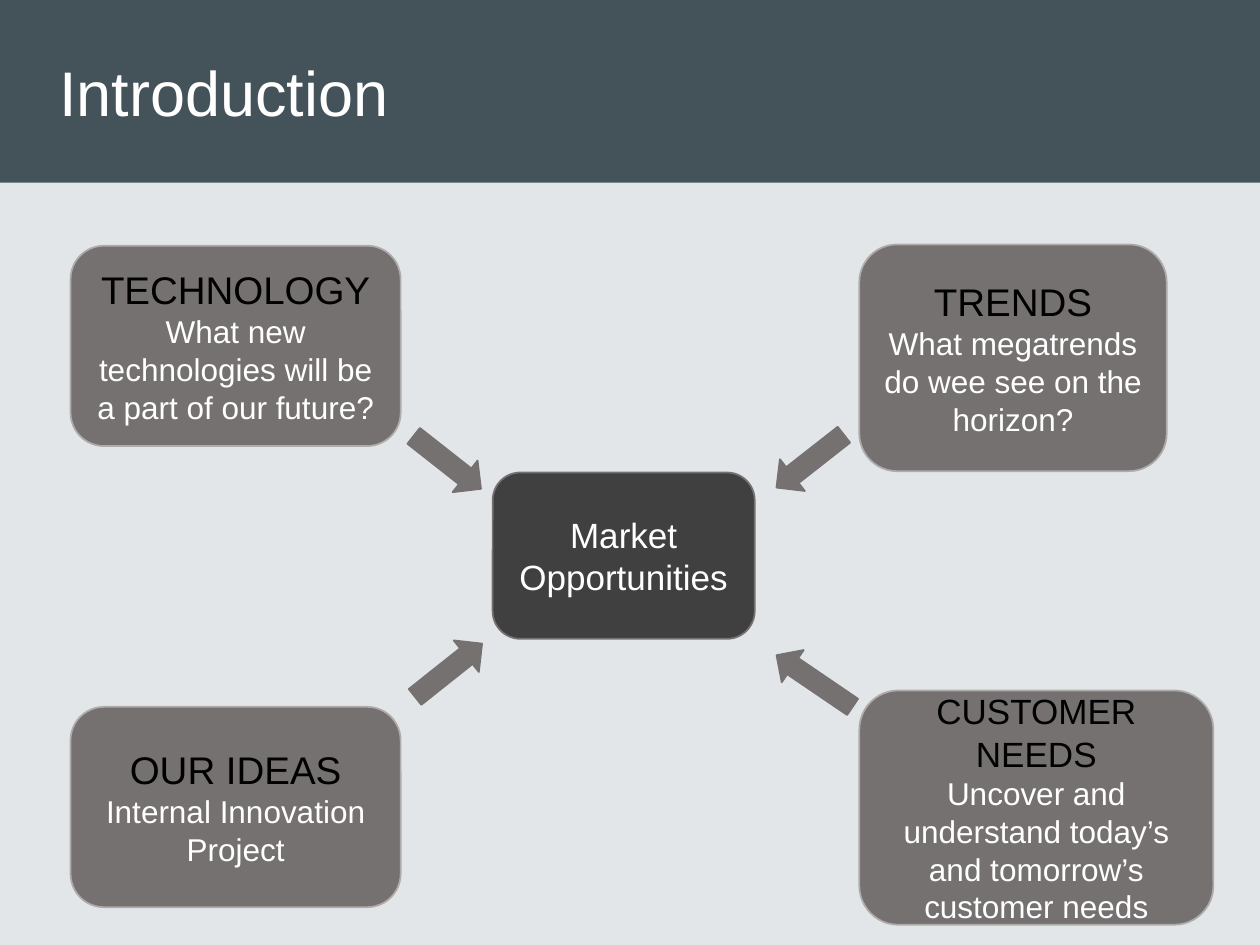
from pptx import Presentation
from pptx.dml.color import RGBColor
from pptx.enum import shapes, text
from pptx.util import Inches, Pt

WHITE = RGBColor(0xFF, 0xFF, 0xFF)
BLACK = RGBColor(0, 0, 0)
PALE = RGBColor(0xE3, 0xE6, 0xE9)
SLATE = RGBColor(0x44, 0x52, 0x5A)
CHARCOAL = RGBColor(0x40, 0x40, 0x40)
GREY = RGBColor(0x76, 0x71, 0x71)
SILVER = RGBColor(0xAF, 0xAB, 0xAB)
SHAPE = shapes.MSO_SHAPE


class SlideBuilder:
    font_name = "Arial"

    def __init__(self, slide):
        self.slide = slide
        slide.background.fill.solid()
        slide.background.fill.fore_color.rgb = PALE

    def shape(self, kind, place, fill, line=None):
        shape = self.slide.shapes.add_shape(kind, *map(Inches, place))
        shape.shadow.inherit = False
        shape.fill.solid()
        shape.fill.fore_color.rgb = fill
        if line is None:
            shape.line.fill.background()
        else:
            shape.line.color.rgb = line
            shape.line.width = Pt(1)
        return shape

    def set_text(self, paragraph, words, size, color, align):
        paragraph.text = words
        paragraph.alignment = align
        paragraph.font.name = self.font_name
        paragraph.font.size = Pt(size)
        paragraph.font.color.rgb = color

    def title(self, words, place):
        band = self.shape(SHAPE.RECTANGLE, (0, 0, 10, 1.45), SLATE)
        # Send the band behind the title placeholder
        title = self.slide.shapes.title
        title.element.addprevious(band.element)
        title.left, title.top, title.width, title.height = map(Inches, place)
        frame = title.text_frame
        frame.vertical_anchor = text.MSO_ANCHOR.MIDDLE
        self.set_text(frame.paragraphs[0], words, 36, WHITE, text.PP_ALIGN.LEFT)

    def box(self, place, lines, fill=GREY, line=SILVER):
        box = self.shape(SHAPE.ROUNDED_RECTANGLE, place, fill, line)
        frame = box.text_frame
        frame.word_wrap = True
        frame.vertical_anchor = text.MSO_ANCHOR.MIDDLE
        for index, (words, size, color) in enumerate(lines):
            paragraph = frame.add_paragraph() if index else frame.paragraphs[0]
            self.set_text(paragraph, words, size, color, text.PP_ALIGN.CENTER)

    def arrow(self, place, angle):
        self.shape(SHAPE.RIGHT_ARROW, place, GREY, GREY).rotation = angle


def main():
    deck = Presentation()
    deck.slide_width, deck.slide_height = Inches(10), Inches(7.5)
    page = SlideBuilder(deck.slides.add_slide(deck.slide_layouts[5]))

    page.title("Introduction", (0.37, 0, 9.17, 1.45))

    # Centre box
    page.box((3.91, 3.75, 2.08, 1.32), [("Market Opportunities", 20, WHITE)],
             CHARCOAL, GREY)

    # Four sources of opportunity: place, heading, heading size, description
    sources = [
        ((0.56, 1.95, 2.62, 1.59), "TECHNOLOGY", 22,
         "What new technologies will be a part of our future?"),
        ((6.82, 1.94, 2.44, 1.8), "TRENDS", 22,
         "What megatrends do wee see on the horizon?"),
        ((0.56, 5.61, 2.62, 1.59), "OUR IDEAS", 22,
         "Internal Innovation Project"),
        ((6.82, 5.48, 2.81, 1.86), "CUSTOMER NEEDS", 20,
         "Uncover and understand today’s and tomorrow’s customer needs"),
    ]
    for place, heading, size, description in sources:
        page.box(place, [(heading, size, BLACK), (description, 18, WHITE)])

    # Arrows pointing to the centre
    for place, angle in [
        ((3.21, 3.51, 0.68, 0.32), 38.2),
        ((6.09, 3.5, 0.68, 0.32), 141.9),
        ((3.22, 5.16, 0.68, 0.32), 321.5),
        ((6.1, 5.25, 0.73, 0.31), 214.2),
    ]:
        page.arrow(place, angle)

    deck.save("out.pptx")


if __name__ == "__main__":
    main()
